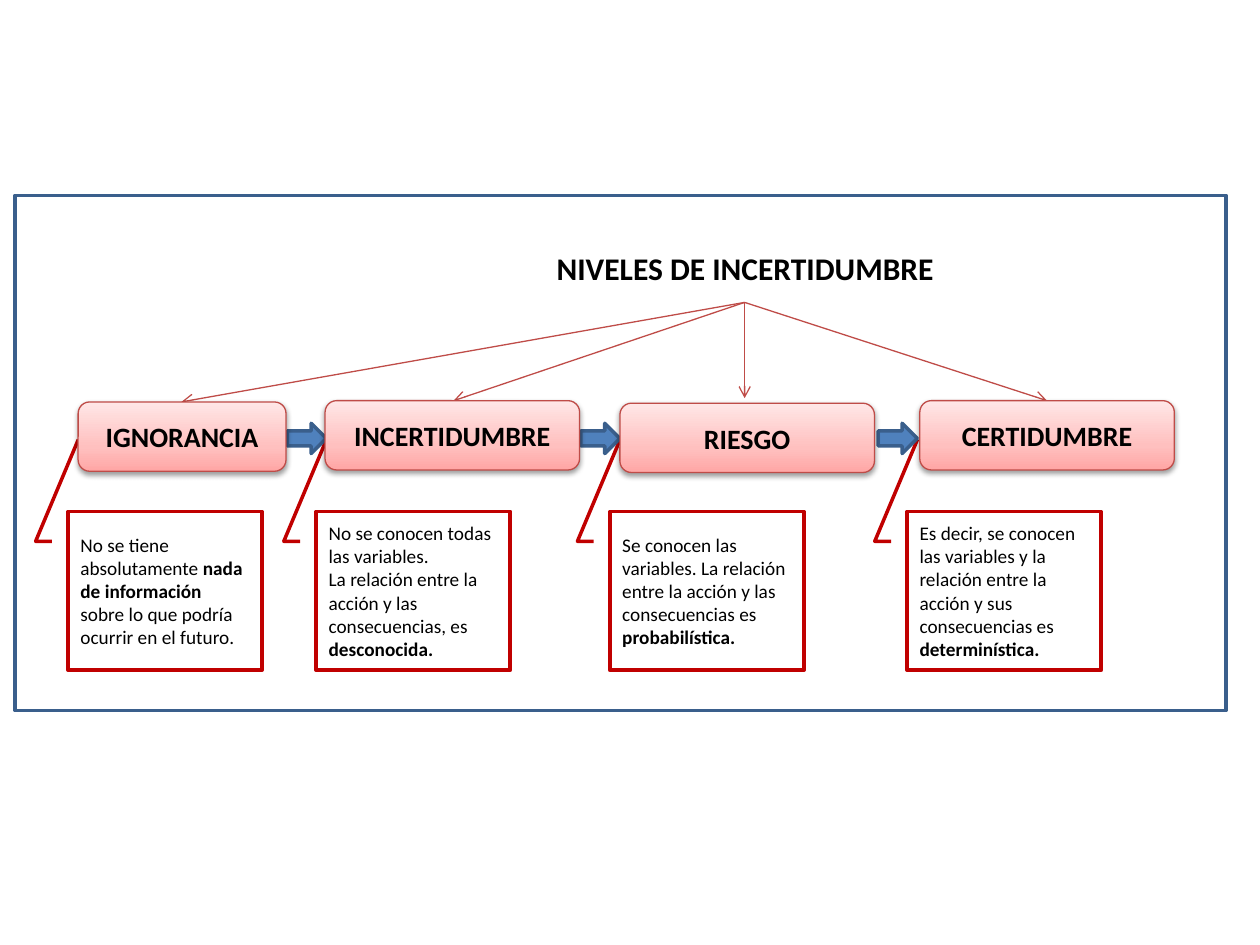
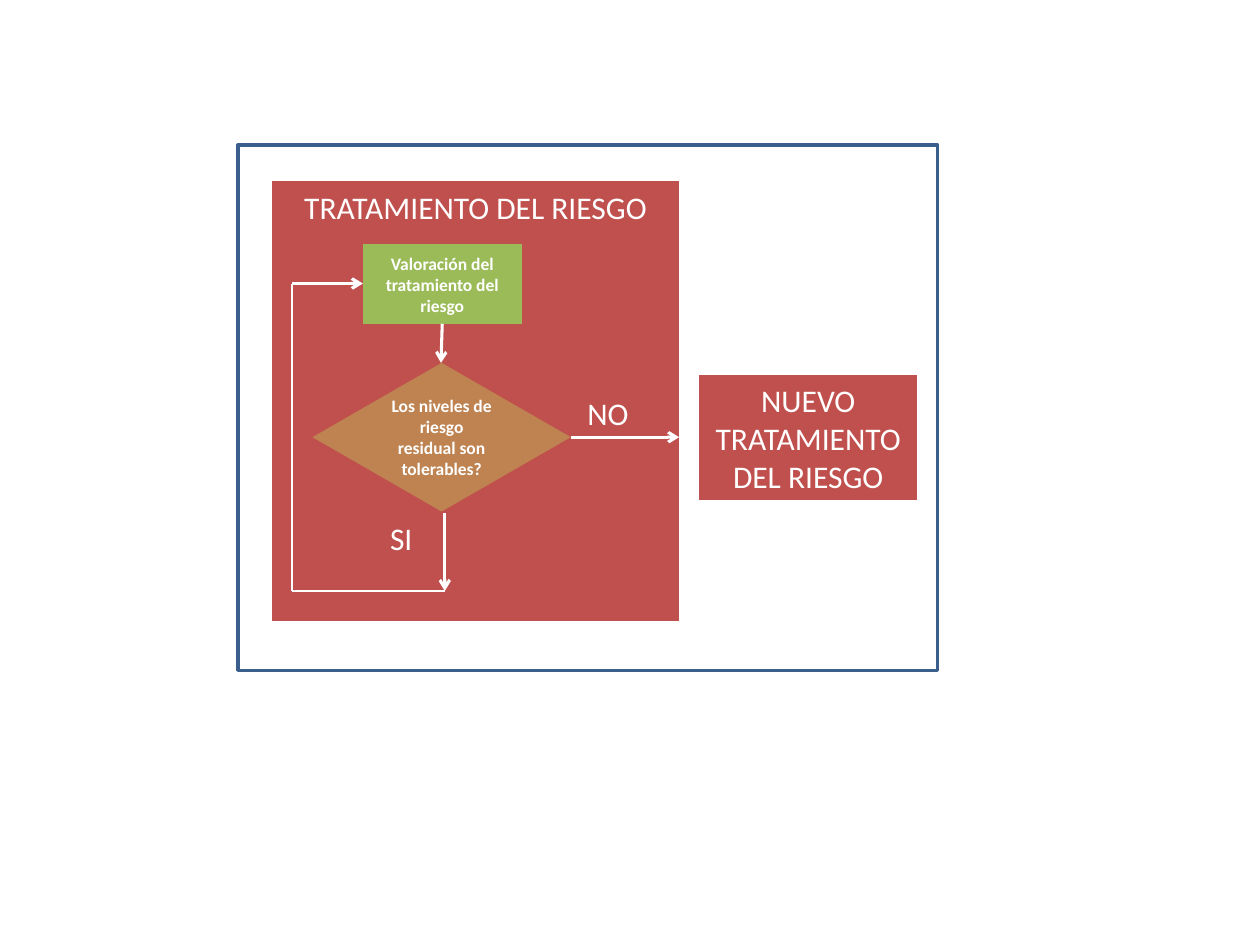
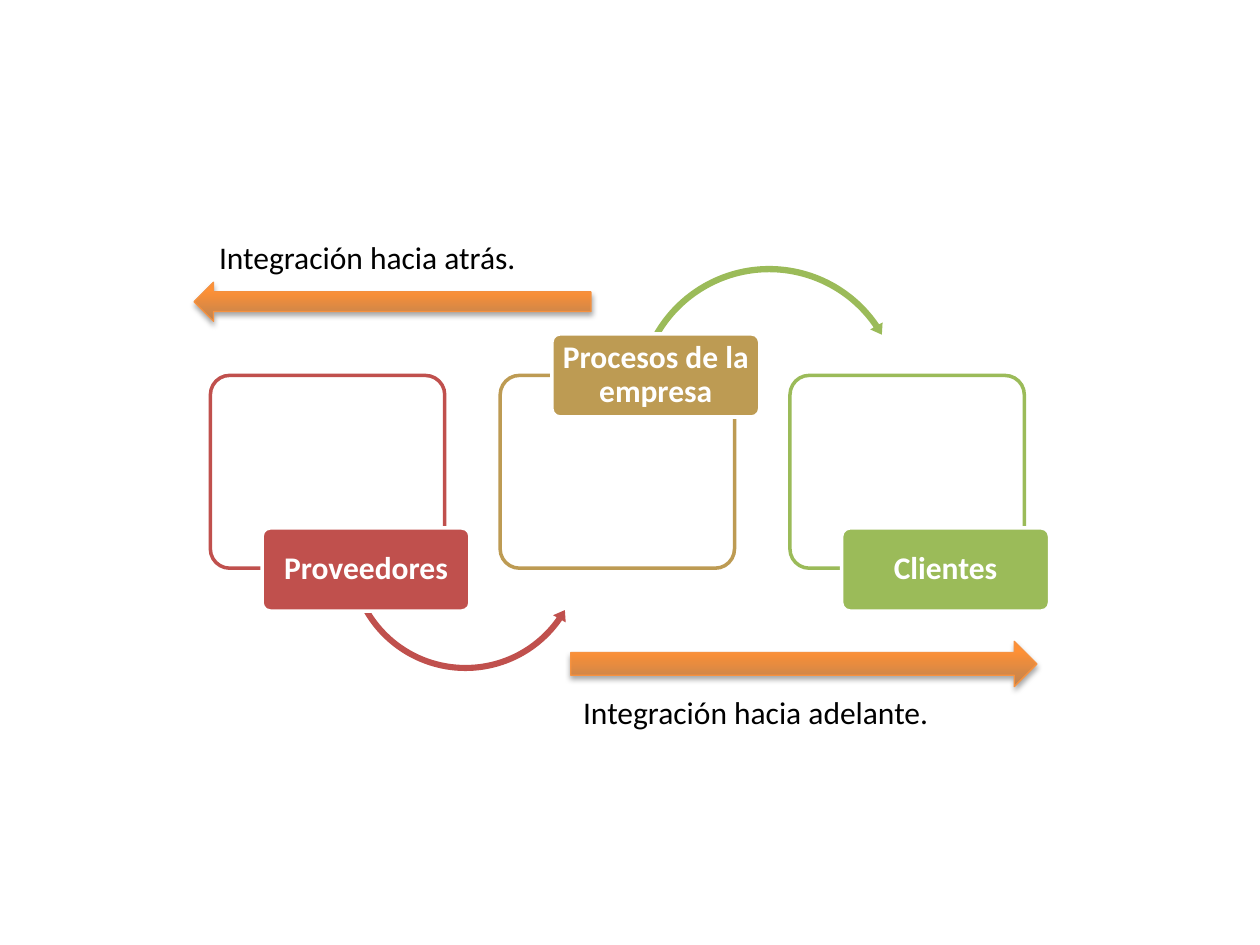
from dataclasses import dataclass

from lxml import etree
from pptx import Presentation
from pptx import util as u
from pptx.dml.color import RGBColor
from pptx.enum import shapes, text
from pptx.oxml import ns

COLUMNS, ROWS = 100, 75
SHAPE = shapes.MSO_SHAPE


@dataclass(frozen=True)
class Theme:
    font: str = "Calibri"
    black: str = "000000"
    white: str = "FFFFFF"
    navy: str = "3A5F8C"
    blue: str = "4F81BD"
    red: str = "C0504D"
    rose: str = "BF4C48"
    crimson: str = "C00000"
    green: str = "9BBB59"
    gold: str = "BD9B53"
    brown: str = "BE8351"
    orange: str = "F69240"
    pink_blend: tuple = ((0, "FFA6A5"), (35, "FFC0BF"), (100, "FFE7E7"))
    orange_blend: tuple = ((0, "BE8351"), (80, "FF9034"), (100, "FF9136"))
    title: int = 18
    level: int = 16
    note: int = 11
    step: int = 10
    thick: float = 2
    medium: float = 1.75
    light: float = 1.25
    thin: float = 0.75


THEME = Theme()

LEVELS_TITLE = "NIVELES DE INCERTIDUMBRE"
LEVELS = [
    dict(name="IGNORANCIA", area=(6.2, 31.9, 16.5, 5.5), tip=(14.4, 31.9), note_left=5.4,
         note=[[("No se tiene absolutamente ", False), ("nada de información", True),
                (" sobre lo que podría ocurrir en el futuro.", False)]]),
    dict(name="INCERTIDUMBRE", area=(25.8, 31.8, 20.2, 5.5), tip=(36, 31.8), note_left=25.1,
         note=[[("No se conocen todas las variables. ", False)],
               [("La relación entre la acción y las consecuencias, es ", False),
                ("desconocida.", True)]]),
    dict(name="RIESGO", area=(49.2, 32, 20.2, 5.5), tip=(59.1, 31.6), note_left=48.4,
         note=[[("Se conocen las variables. La relación entre la acción y las consecuencias es ",
                 False), ("probabilística.", True)]]),
    dict(name="CERTIDUMBRE", area=(73, 31.8, 20.2, 5.5), tip=(83.1, 31.8), note_left=72,
         note=[[("Es decir, se conocen las variables y la relación entre la acción y sus "
                 "consecuencias es ", False), ("determinística.", True)]]),
]
FAN_START = (59.1, 24)
NOTE_CALLOUT = (0.188, -0.083, 0.188, -0.167, -0.453, 0.053)

TOP, MIDDLE = text.MSO_ANCHOR.TOP, text.MSO_ANCHOR.MIDDLE
STEPS = [
    ("TRATAMIENTO DEL RIESGO", SHAPE.FLOWCHART_PROCESS, (21.6, 14.4, 32.3, 34.9),
     THEME.red, THEME.title, False, TOP),
    ("Valoración del tratamiento del riesgo", SHAPE.FLOWCHART_PROCESS, (28.8, 19.4, 12.6, 6.3),
     THEME.green, THEME.step, True, MIDDLE),
    ("Los niveles de riesgo residual son tolerables?", SHAPE.FLOWCHART_DECISION,
     (24.8, 28.8, 20.5, 11.8), THEME.brown, THEME.step, True, MIDDLE),
    ("NUEVO TRATAMIENTO DEL RIESGO", SHAPE.FLOWCHART_PROCESS, (55.5, 29.8, 17.3, 9.9),
     THEME.red, THEME.title, False, MIDDLE),
]
ANSWERS = [("NO", (45.1, 30.8, 6.3, 4)), ("SI", (28.7, 40.7, 6.3, 4))]
FLOWS = [
    ((35.1, 25.7), (35, 28.8), True),
    ((45.3, 34.7), (53.9, 34.7), True),
    ((35.3, 40.7), (35.3, 46.9), True),
    ((35.3, 46.9), (23.2, 46.9), False),
    ((23.2, 46.9), (23.2, 22.5), False),
    ((23.2, 22.5), (28.8, 22.5), True),
]

CHAIN_LEFT, CHAIN_STEP = 16.7, 23
LOW, HIGH = (4.1, 41.9), (4.1, 26.5)
CHAIN = [
    dict(name="Proveedores", color=THEME.red, tag=LOW,
         swing=(SHAPE.LEFT_CIRCULAR_ARROW, (27.3, 34.3, 19.3, 19.3), THEME.red,
                (0.025, 3.094, 20.849, 90.245, 0.03))),
    dict(name="Procesos de la empresa", color=THEME.gold, tag=HIGH,
         swing=(SHAPE.CIRCULAR_ARROW, (50.2, 20.8, 21.7, 21.7), THEME.green,
                (0.023, 2.738, 195.507, 125.755, 0.026))),
    dict(name="Clientes", color=THEME.green, tag=LOW, swing=None),
]
DIRECTIONS = [
    ("Integración hacia adelante.", (45.3, 54.5, 37, 4),
     SHAPE.RIGHT_ARROW, (45.3, 50.9, 37, 3.6)),
    ("Integración hacia atrás.", (16.4, 18.4, 35.2, 4),
     SHAPE.LEFT_ARROW, (15.4, 22.4, 31.5, 3.1)),
]

deck = Presentation()
deck.slide_width, deck.slide_height = u.Inches(10), u.Inches(7.5)


def grid(x, y):
    return int(deck.slide_width * x / COLUMNS), int(deck.slide_height * y / ROWS)


def place(area):
    return *grid(*area[:2]), *grid(*area[2:])


def rgb(color):
    return RGBColor.from_string(color)


def node(parent, tag, **attributes):
    return etree.SubElement(parent, ns.qn(f"a:{tag}"),
                            {key: str(value) for key, value in attributes.items()})


def add_blend(box, stops):
    box.fill.background()
    empty = box.element.spPr.find(ns.qn("a:noFill"))
    blend = etree.Element(ns.qn("a:gradFill"), rotWithShape="1")
    stop_list = node(blend, "gsLst")
    for position, color in stops:
        node(node(stop_list, "gs", pos=position * 1000), "srgbClr", val=color)
    node(blend, "lin", ang=270 * 60000, scaled=0)
    box.element.spPr.replace(empty, blend)


def add_shadow(box, opacity, distance):
    effects = box.element.spPr.find(ns.qn("a:effectLst"))
    shadow = node(effects, "outerShdw", blurRad=u.Pt(3.1), dist=u.Pt(distance),
                  dir=90 * 60000, rotWithShape=0)
    node(node(shadow, "srgbClr", val=THEME.black), "alpha", val=opacity * 1000)


def add_box(page, kind, area, fill=None, line=None, width=THEME.thick, adjust=()):
    box = page.shapes.add_shape(kind, *place(area))
    box.shadow.inherit = False
    for index, value in enumerate(adjust):
        box.adjustments[index] = value
    if isinstance(fill, tuple):
        add_blend(box, fill)
    elif fill:
        box.fill.solid()
        box.fill.fore_color.rgb = rgb(fill)
    else:
        box.fill.background()
    if line:
        box.line.color.rgb = rgb(line)
        box.line.width = u.Pt(width)
    else:
        box.line.fill.background()
    return box


def write(box, paragraphs, size, color, bold=False, align=text.PP_ALIGN.CENTER,
          anchor=MIDDLE, inset=None, spacing=None):
    frame = box.text_frame
    frame.word_wrap = True
    frame.vertical_anchor = anchor
    if inset:
        frame.margin_left = frame.margin_right = u.Inches(inset[0])
        frame.margin_top = frame.margin_bottom = u.Inches(inset[1])
    for index, spans in enumerate(paragraphs):
        para = frame.add_paragraph() if index else frame.paragraphs[0]
        para.alignment = align
        para.line_spacing = spacing
        para.font.name, para.font.size = THEME.font, u.Pt(size)
        para.font.bold = bold
        para.font.color.rgb = rgb(color)
        for words, strong in spans:
            span = para.add_run()
            span.text = words
            if strong:
                span.font.bold = True


def plain(words):
    return [[(words, False)]]


def add_label(page, words, area, size, color, **style):
    box = page.shapes.add_textbox(*place(area))
    write(box, plain(words), size, color, **style)


def add_line(page, start, end, color, width, arrow=True):
    line = page.shapes.add_connector(shapes.MSO_CONNECTOR.STRAIGHT, *grid(*start), *grid(*end))
    line.line.color.rgb = rgb(color)
    line.line.width = u.Pt(width)
    if arrow:
        node(line.line._get_or_add_ln(), "tailEnd", type="arrow")
    node(line._element.spPr, "effectLst")


def add_page():
    return deck.slides.add_slide(deck.slide_layouts[6])


def build_levels():
    page = add_page()
    add_box(page, SHAPE.RECTANGLE, (1.2, 15.5, 96.1, 40.9), THEME.white, THEME.navy)
    add_label(page, LEVELS_TITLE, (41.5, 18.9, 35.3, 5.1), THEME.title, THEME.black,
              bold=True, inset=(0.04, 0.04), spacing=0.9)
    for level in LEVELS:
        add_line(page, FAN_START, level["tip"], THEME.rose, THEME.thin)
    for level in LEVELS:
        note = add_box(page, SHAPE.LINE_CALLOUT_2, (level["note_left"], 40.6, 15.4, 12.6),
                       line=THEME.crimson, adjust=NOTE_CALLOUT)
        write(note, level["note"], THEME.note, THEME.black, align=text.PP_ALIGN.LEFT)
    for level in LEVELS[1:]:
        add_box(page, SHAPE.RIGHT_ARROW, (level["note_left"] - 2.3, 33.6, 3.1, 2.4),
                THEME.blue, THEME.navy)
    for level in LEVELS:
        box = add_box(page, SHAPE.ROUNDED_RECTANGLE, level["area"], THEME.pink_blend,
                      THEME.rose, THEME.thin)
        add_shadow(box, 38, 1.6)
        write(box, plain(level["name"]), THEME.level, THEME.black, bold=True)


def build_treatment():
    page = add_page()
    add_box(page, SHAPE.FLOWCHART_PROCESS, (18.9, 11.5, 55.5, 41.7), THEME.white, THEME.navy)
    for words, kind, area, color, size, bold, anchor in STEPS:
        box = add_box(page, kind, area, color)
        write(box, plain(words), size, THEME.white, bold=bold, anchor=anchor)
    for words, area in ANSWERS:
        add_label(page, words, area, THEME.title, THEME.white, anchor=TOP)
    for start, end, arrow in FLOWS:
        add_line(page, start, end, THEME.white, THEME.medium if arrow else THEME.light, arrow)


def build_chain():
    page = add_page()
    for index, link in enumerate(CHAIN):
        left = CHAIN_LEFT + index * CHAIN_STEP
        frame = add_box(page, SHAPE.ROUNDED_RECTANGLE, (left, 29.8, 18.6, 15.3),
                        THEME.white, link["color"], adjust=(0.1,))
        node(frame.element.spPr.find(ns.qn("a:solidFill"))[0], "alpha", val=90000)
        if link["swing"]:
            kind, area, color, adjust = link["swing"]
            add_box(page, kind, area, color, adjust=adjust)
        shift, top = link["tag"]
        tag = add_box(page, SHAPE.ROUNDED_RECTANGLE, (left + shift, top, 16.5, 6.6),
                      link["color"], THEME.white, adjust=(0.1,))
        write(tag, plain(link["name"]), THEME.title, THEME.white, bold=True,
              inset=(0.04, 0.03), spacing=0.9)
    for words, label_area, kind, arrow_area in DIRECTIONS:
        arrow = add_box(page, kind, arrow_area, THEME.orange_blend, THEME.orange, THEME.thin)
        add_shadow(arrow, 35, 1.8)
        add_label(page, words, label_area, THEME.title, THEME.black,
                  align=text.PP_ALIGN.LEFT, anchor=TOP)


build_levels()
build_treatment()
build_chain()
deck.save("out.pptx")
